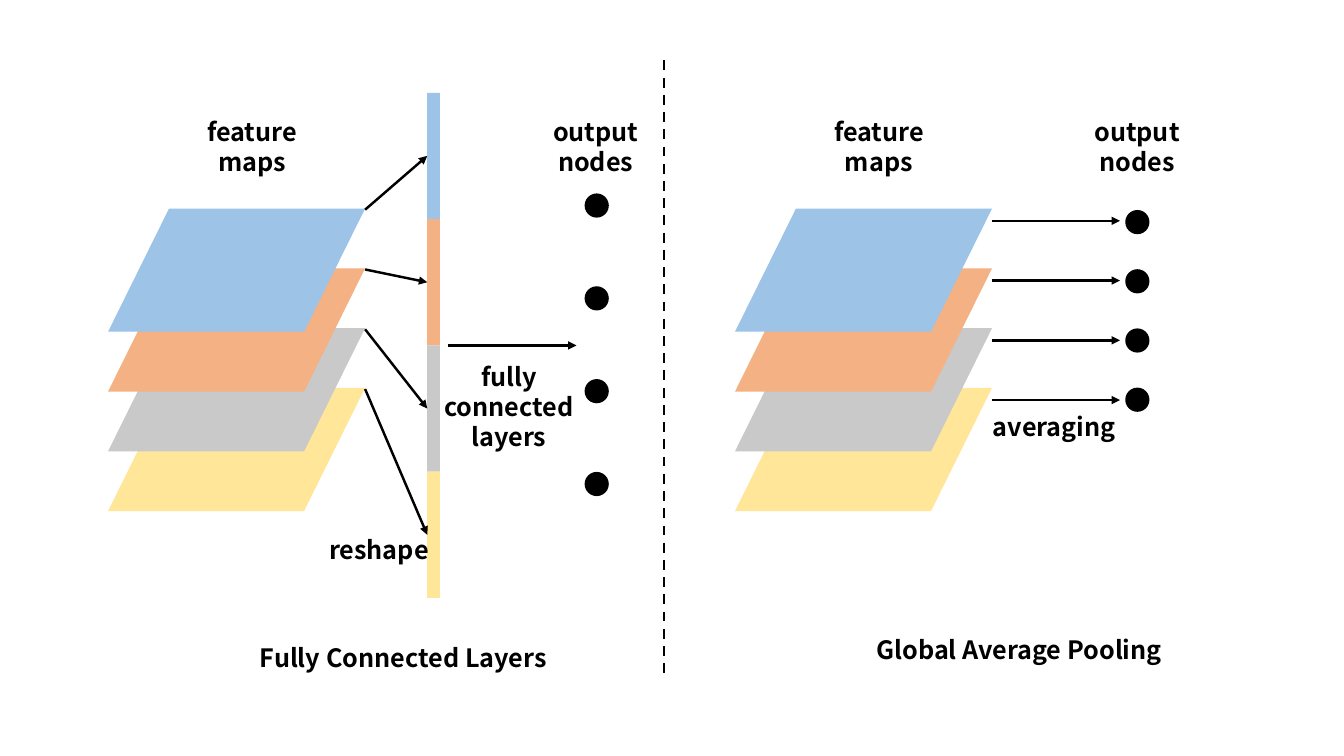
from lxml.etree import SubElement
from pptx import Presentation
from pptx.dml.color import RGBColor
from pptx.enum.dml import MSO_LINE
from pptx.enum.shapes import MSO_CONNECTOR, MSO_SHAPE
from pptx.enum.text import MSO_AUTO_SIZE, PP_ALIGN
from pptx.oxml.ns import qn
from pptx.util import Pt

BLACK = RGBColor(0, 0, 0)
BLUE = RGBColor(0x9D, 0xC3, 0xE6)
ORANGE = RGBColor(0xF4, 0xB1, 0x83)
GRAY = RGBColor(0xC9, 0xC9, 0xC9)
YELLOW = RGBColor(0xFF, 0xE6, 0x99)

MAPS = [BLUE, ORANGE, GRAY, YELLOW]
LABELS = [
    ("Fully Connected Layers", 174.3, 455.2, 227.5, 1),
    ("Global Average Pooling", 614.2, 449.7, 227.5, 1),
    ("fully connected layers", 309.6, 254.2, 108, 3),
    ("feature maps", 126, 79.6, 108, 2),
    ("output nodes", 371.5, 79.6, 108, 2),
    ("reshape", 216.7, 378, 108, 1),
    ("feature maps", 573.8, 79.5, 108, 2),
    ("output nodes", 758.2, 79.5, 108, 2),
    ("averaging", 699.1, 290.2, 108, 1),
]
FONT = {"name": "Noto Sans CJK SC", "size": Pt(18), "bold": True}
FRAME = {"word_wrap": True, "auto_size": MSO_AUTO_SIZE.NONE}
PARA = {"alignment": PP_ALIGN.CENTER, "line_spacing": Pt(21.6)}

STEP = 42.7
MAP_TOP = 149
MAP_W, MAP_H = 183.6, 88
LEFT_X, RIGHT_X = 77.2, 525
BAR_X, BAR_TOP, BAR_W, BAR_H = 305.2, 66.3, 9, 90.2
DOT = 17.3


def set_all(thing, form):
    for key, value in form.items():
        setattr(thing, key, value)


def add_part(kind, color, x, y, w, h):
    part = slide.shapes.add_shape(kind, Pt(x), Pt(y), Pt(w), Pt(h))
    part.shadow.inherit = False
    part.fill.solid()
    part.fill.fore_color.rgb = color
    part.line.fill.background()
    return part


def add_line(x1, y1, x2, y2):
    line = slide.shapes.add_connector(
        MSO_CONNECTOR.STRAIGHT, Pt(x1), Pt(y1), Pt(x2), Pt(y2))
    line.line.color.rgb = BLACK
    line.line.width = Pt(1.75)
    SubElement(line._element.spPr, qn("a:effectLst"))
    return line


def add_arrow(x1, y1, x2, y2):
    line = add_line(x1, y1, x2, y2)
    SubElement(line.line._get_or_add_ln(), qn("a:tailEnd"), type="triangle")
    return line


def add_stack(x):
    for row, color in reversed(list(enumerate(MAPS))):
        sheet = add_part(MSO_SHAPE.PARALLELOGRAM, color,
                         x, MAP_TOP + row * STEP, MAP_W, MAP_H)
        sheet.adjustments[0] = 0.495


def add_dots(x, top, step):
    for row in range(len(MAPS)):
        add_part(MSO_SHAPE.OVAL, BLACK, x, top + row * step, DOT, DOT)


def add_label(text, x, y, w, rows):
    box = slide.shapes.add_textbox(Pt(x), Pt(y), Pt(w), Pt(rows * 21.6 + 7.2))
    set_all(box.text_frame, FRAME)
    para = box.text_frame.paragraphs[0]
    set_all(para, PARA)
    run = para.add_run()
    run.text = text
    set_all(run.font, FONT)
    run.font.color.rgb = BLACK


deck = Presentation()
set_all(deck, {"slide_width": Pt(960), "slide_height": Pt(540)})
slide = deck.slides.add_slide(deck.slide_layouts[6])

add_stack(LEFT_X)
add_stack(RIGHT_X)
for row, color in enumerate(MAPS):
    top = BAR_TOP + row * BAR_H
    bar = add_part(MSO_SHAPE.RECTANGLE, color, BAR_X, top, BAR_W, BAR_H)
    start = LEFT_X + MAP_W
    arrow = add_arrow(start, MAP_TOP + 0.8 + row * STEP,
                      BAR_X, top + BAR_H / 2)
    arrow.end_connect(bar, 1)
    level = 157.7 + row * STEP
    add_arrow(RIGHT_X + MAP_W, level, 800, level)

add_dots(417.6, 138.2, 66.3)
add_dots(803.8, 150, 42.3)
add_arrow(319.7, 246.7, 411.8, 246.7)
for label in LABELS:
    add_label(*label)
add_line(474.3, 43.2, 474.3, 483.8).line.dash_style = MSO_LINE.DASH

deck.save("out.pptx")
